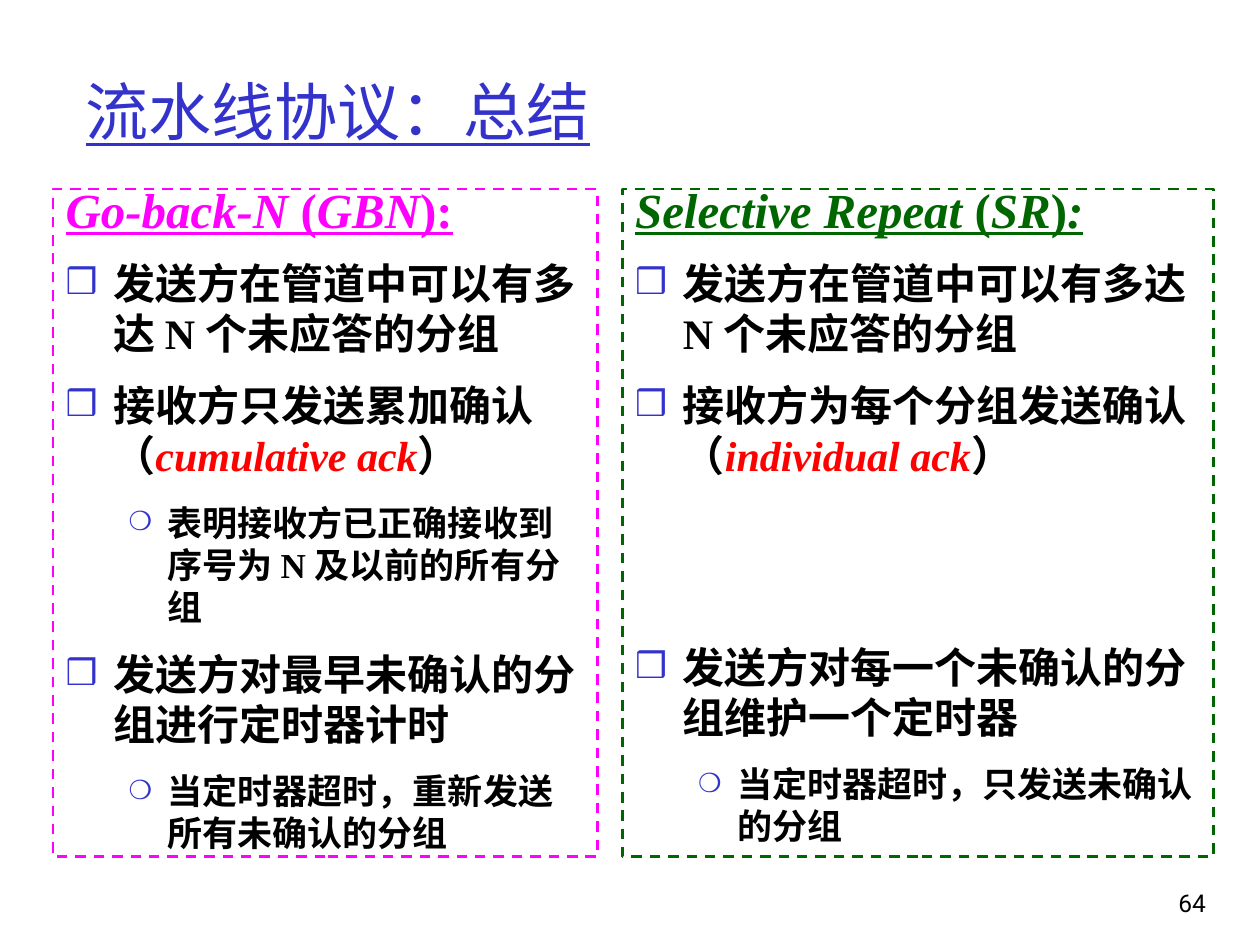
"""Build a slide that sums up the two pipelined protocols."""
from lxml import etree
from pptx import Presentation
from pptx.dml.color import RGBColor
from pptx.enum.dml import MSO_LINE
from pptx.enum.text import MSO_ANCHOR, MSO_AUTO_SIZE, PP_ALIGN
from pptx.oxml.ns import qn
from pptx.util import Inches, Pt

BLUE = RGBColor(0x33, 0x33, 0xCC)
PINK = RGBColor(0xFF, 0x00, 0xFF)
GREEN = RGBColor(0x00, 0x66, 0x00)
RED = RGBColor(0xFF, 0x00, 0x00)
BLACK = RGBColor(0x00, 0x00, 0x00)
SERIF = "Times New Roman"
LEVELS = [
    {"mark": "❒", "scale": 85, "left": 0.38, "hang": 0.38, "size": 24},
    {"mark": "❍", "scale": 75, "left": 0.81, "hang": 0.31, "size": 20},
]


def style(para, size, color, bold=False, under=False, name=SERIF):
    font = para.font
    font.name, font.size, font.bold, font.underline = name, Pt(size), bold, under
    font.color.rgb = color


def indent(para, left, hang, mark=None, scale=100):
    props = para._p.get_or_add_pPr()
    props.set("marL", str(Inches(left)))
    props.set("indent", str(-Inches(hang)))
    if mark is None:
        etree.SubElement(props, qn("a:buNone"))
        return
    tint = etree.SubElement(props, qn("a:buClr"))
    etree.SubElement(tint, qn("a:srgbClr"), val=str(BLUE))
    etree.SubElement(props, qn("a:buSzPct"), val=str(scale * 1000))
    etree.SubElement(props, qn("a:buChar"), char=mark)


PANELS = [
    (0.42, 4.32, PINK,
     [("Go-back-N ", True), ("(", False), ("GBN", True), ("):", False)],
     [(0, 12, ["发送方在管道中可以有多达 N 个未应答的分组"]),
      (0, 12, ["接收方只发送累加确认（", "cumulative ack", "）"]),
      (1, 12, ["表明接收方已正确接收到序号为 N 及以前的所有分组"]),
      (0, 12, ["发送方对最早未确认的分组进行定时器计时"]),
      (1, 12, ["当定时器超时，重新发送所有未确认的分组"])]),
    (4.94, 4.69, GREEN,
     [("Selective Repeat ", True), ("(", False), ("SR", True), (")", False), (":", True)],
     [(0, 12, ["发送方在管道中可以有多达 N 个未应答的分组"]),
      (0, 12, ["接收方为每个分组发送确认（", "individual ack", "）"]),
      (0, 92, ["发送方对每一个未确认的分组维护一个定时器"]),
      (1, 12, ["当定时器超时，只发送未确认的分组"])]),
]

deck = Presentation()
deck.slide_width, deck.slide_height = Inches(10), Inches(7.5)
slide = deck.slides.add_slide(deck.slide_layouts[3])
title, *bodies = slide.placeholders

title.left, title.top = Inches(0.58), Inches(0.25)
title.width, title.height = Inches(8.5), Inches(1.25)
title.text_frame.text = "流水线协议：总结"
title.text_frame.vertical_anchor = MSO_ANCHOR.MIDDLE
title.text_frame.auto_size = MSO_AUTO_SIZE.NONE
head = title.text_frame.paragraphs[0]
head.alignment = PP_ALIGN.LEFT
style(head, 36, BLUE, under=True)

for body, (left, width, color, name, items) in zip(bodies, PANELS):
    body.left, body.top = Inches(left), Inches(1.5)
    body.width, body.height = Inches(width), Inches(5.3)
    body.line.color.rgb = color
    body.line.width = Pt(1.5)
    body.line.dash_style = MSO_LINE.DASH
    frame = body.text_frame
    frame.auto_size = MSO_AUTO_SIZE.NONE
    head = frame.paragraphs[0]
    head.line_spacing, head.space_before = 0.7, Pt(0)
    indent(head, 0.38, 0.38)
    style(head, 28, color, bold=True, under=True)
    for text, slant in name:
        run = head.add_run()
        run.text, run.font.italic = text, slant
    for level, gap, parts in items:
        para = frame.add_paragraph()
        para.level, para.space_before = level, Pt(gap)
        look = LEVELS[level]
        indent(para, look["left"], look["hang"], look["mark"], look["scale"])
        style(para, look["size"], BLACK, bold=True)
        for place, text in enumerate(parts):
            run = para.add_run()
            run.text = text
            if place == 1:
                run.font.italic = True
                run.font.color.rgb = RED

box = slide.shapes.add_textbox(Inches(8.93), Inches(7), Inches(0.74), Inches(0.5))
box.text_frame.word_wrap = True
box.text_frame.text = "64"
page = box.text_frame.paragraphs[0]
page.alignment = PP_ALIGN.RIGHT
style(page, 14, BLACK, name="Roboto")

deck.save("out.pptx")
